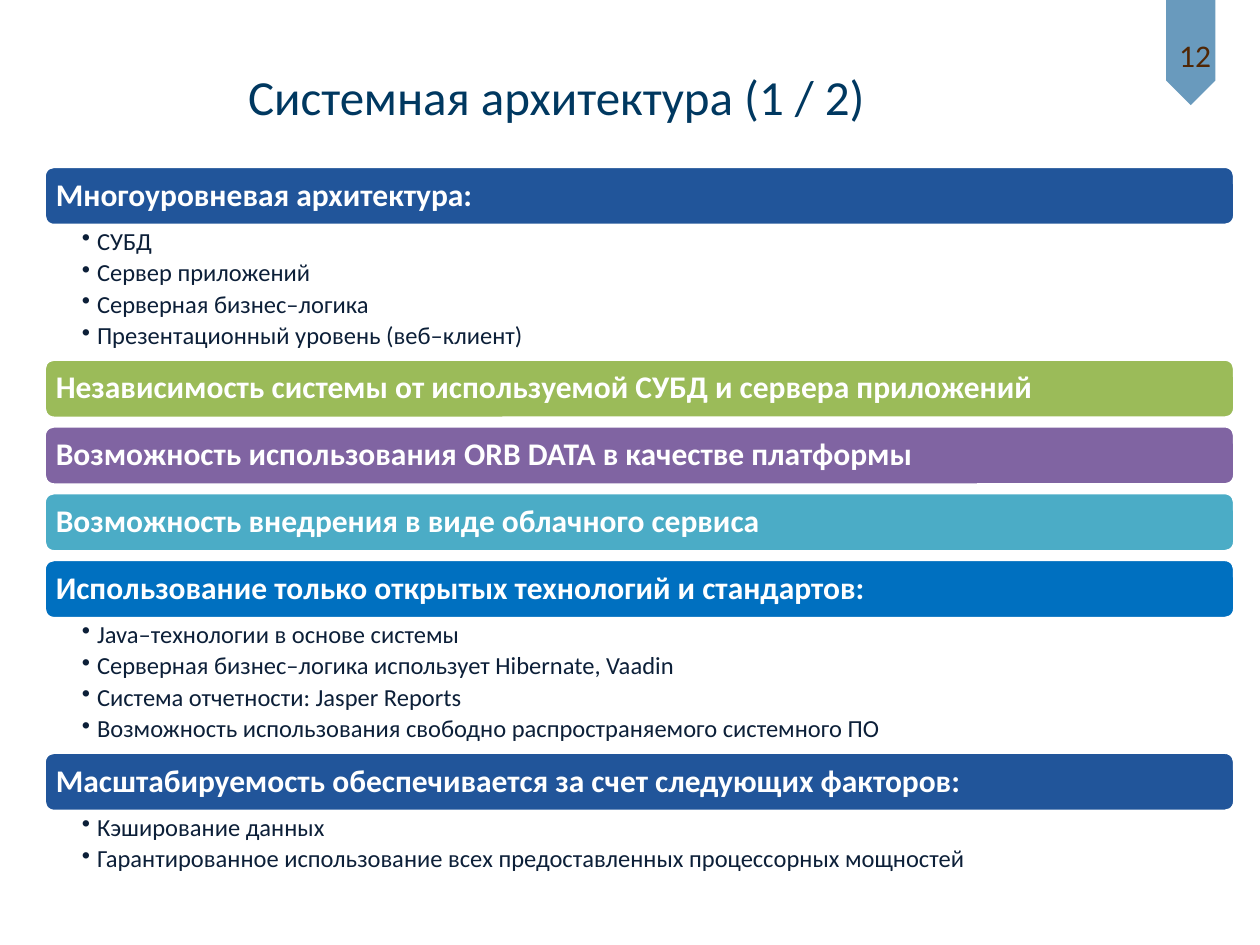
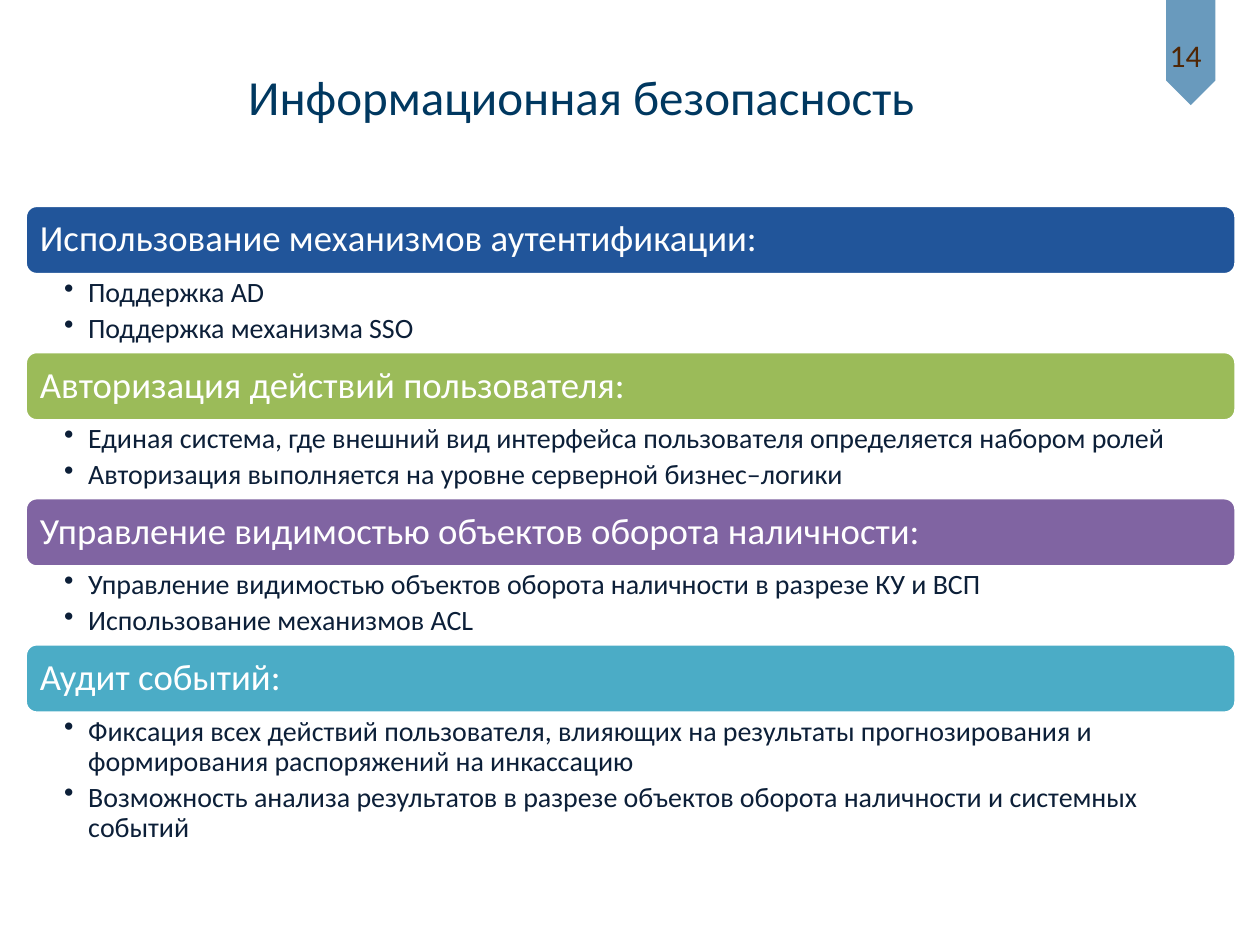
from lxml.etree import SubElement
from pptx import Presentation
from pptx.dml.color import RGBColor
from pptx.enum.shapes import MSO_SHAPE
from pptx.enum.text import MSO_ANCHOR, PP_ALIGN
from pptx.oxml.ns import qn
from pptx.util import Inches, Pt

FONT = "Calibri"
WHITE = RGBColor(0xFF, 0xFF, 0xFF)
STEEL = RGBColor(0x00, 0x54, 0x90)
TITLE_BLUE = RGBColor(0x00, 0x38, 0x60)
INK = RGBColor(0x0C, 0x1F, 0x38)
BROWN = RGBColor(0x50, 0x26, 0x04)
NAVY = RGBColor(0x21, 0x55, 0x9A)
GREEN = RGBColor(0x9B, 0xBB, 0x59)
PURPLE = RGBColor(0x80, 0x64, 0xA2)
TEAL = RGBColor(0x4B, 0xAC, 0xC6)
BLUE = RGBColor(0x00, 0x70, 0xC0)

ARCHITECTURE = {
    "left": 0.35, "top": 1.32, "width": 9.45, "bar": 0.47, "gap": 0.06,
    "bar_inset": 0.07, "bar_size": 18, "bold": True,
    "body_insets": (0.3, 0.03, 0.14, 0.03), "hang": 0.12, "body_size": 14,
}
SECURITY = {
    "left": 0.2, "top": 1.63, "width": 9.61, "bar": 0.55, "gap": 0.06,
    "bar_inset": 0.09, "bar_size": 21, "bold": False,
    "body_insets": (0.31, 0.03, 0.16, 0.03), "hang": 0.19, "body_size": 16,
}

ARCHITECTURE_SECTIONS = [
    (NAVY, "Многоуровневая архитектура:", 1.06, [
        "СУБД",
        "Сервер приложений",
        "Серверная бизнес–логика",
        "Презентационный уровень (веб–клиент)"]),
    (GREEN, "Независимость системы от используемой СУБД и сервера приложений", 0, []),
    (PURPLE, "Возможность использования ORB DATA в качестве платформы", 0, []),
    (TEAL, "Возможность внедрения в виде облачного сервиса", 0, []),
    (BLUE, "Использование только открытых технологий и стандартов:", 1.06, [
        "Java–технологии в основе системы",
        "Серверная бизнес–логика использует Hibernate, Vaadin",
        "Система отчетности: Jasper Reports",
        "Возможность использования свободно распространяемого системного ПО"]),
    (NAVY, "Масштабируемость обеспечивается за счет следующих факторов:", 0.53, [
        "Кэширование данных",
        "Гарантированное использование всех предоставленных процессорных мощностей"]),
]
SECURITY_SECTIONS = [
    (NAVY, "Использование механизмов аутентификации:", 0.61, [
        "Поддержка AD",
        "Поддержка механизма SSO"]),
    (GREEN, "Авторизация действий пользователя:", 0.61, [
        "Единая система, где внешний вид интерфейса пользователя определяется набором ролей",
        "Авторизация выполняется на уровне серверной бизнес–логики"]),
    (PURPLE, "Управление видимостью объектов оборота наличности:", 0.61, [
        "Управление видимостью объектов оборота наличности в разрезе КУ и ВСП",
        "Использование механизмов ACL"]),
    (TEAL, "Аудит событий:", 1.09, [
        "Фиксация всех действий пользователя, влияющих на результаты прогнозирования "
        "и формирования распоряжений на инкассацию",
        "Возможность анализа результатов в разрезе объектов оборота наличности "
        "и системных событий"]),
]


class Deck:
    """Holds the presentation style and the current slide."""

    def __init__(self):
        self.prs = Presentation()
        self.prs.slide_width, self.prs.slide_height = Inches(10), Inches(7.5)

    def slide(self, title, number, number_width):
        self.s = self.prs.slides.add_slide(self.prs.slide_layouts[6])
        self.flag()
        tf = self.textbox(0, 0.21, 10, 1.1, (1.97, 0.05, 0.39, 0.05), MSO_ANCHOR.MIDDLE)
        self.text(tf.paragraphs[0], title, {"size": Pt(28)}, TITLE_BLUE)
        tf = self.textbox(9.17, 0.24, number_width, 0.4, (0.1, 0.05, 0.1, 0.05))
        self.text(tf.paragraphs[0], number, {"size": Pt(18)}, BROWN,
                  alignment=PP_ALIGN.CENTER)

    def shape(self, kind, left, top, width, height, color):
        sp = self.s.shapes.add_shape(
            kind, Inches(left), Inches(top), Inches(width), Inches(height))
        sp.shadow.inherit = False
        sp.fill.solid()
        sp.fill.fore_color.rgb = color
        return sp

    def flag(self):
        sp = self.shape(MSO_SHAPE.PENTAGON, 9.03, 0.22, 0.84, 0.39, STEEL)
        sp.rotation = 90
        sp.line.fill.background()
        color = sp._element.spPr.find(qn("a:solidFill"))[0]
        SubElement(color, qn("a:alpha")).set("val", "59000")

    def frame(self, tf, insets, anchor):
        left, top, right, bottom = map(Inches, insets)
        values = {"word_wrap": True, "vertical_anchor": anchor, "margin_left": left,
                  "margin_top": top, "margin_right": right, "margin_bottom": bottom}
        for name, value in values.items():
            setattr(tf, name, value)
        return tf

    def textbox(self, left, top, width, height, insets, anchor=MSO_ANCHOR.TOP):
        sp = self.s.shapes.add_textbox(
            Inches(left), Inches(top), Inches(width), Inches(height))
        return self.frame(sp.text_frame, insets, anchor)

    def text(self, p, words, font, color, **layout):
        for name, value in layout.items():
            setattr(p, name, value)
        r = p.add_run()
        r.text = words
        for name, value in {"name": FONT, **font}.items():
            setattr(r.font, name, value)
        r.font.color.rgb = color

    def bar(self, heading, color, top, style):
        sp = self.shape(MSO_SHAPE.ROUNDED_RECTANGLE, style["left"], top,
                        style["width"], style["bar"], color)
        sp.line.color.rgb = WHITE
        sp.line.width = Pt(2)
        tf = self.frame(sp.text_frame, [style["bar_inset"]] * 4, MSO_ANCHOR.MIDDLE)
        self.text(tf.paragraphs[0], heading,
                  {"size": Pt(style["bar_size"]), "bold": style["bold"]}, WHITE,
                  alignment=PP_ALIGN.LEFT, line_spacing=0.9)

    def bullets(self, items, top, height, style):
        tf = self.textbox(style["left"], top, style["width"], height, style["body_insets"])
        size, hang = style["body_size"], Inches(style["hang"])
        for i, item in enumerate(items):
            p = tf.add_paragraph() if i else tf.paragraphs[0]
            self.text(p, item, {"size": Pt(size)}, INK,
                      level=1, line_spacing=0.9, space_after=Pt(size * 0.2))
            pPr = p._p.get_or_add_pPr()
            pPr.set("marL", str(hang))
            pPr.set("indent", str(-hang))
            SubElement(pPr, qn("a:buChar")).set("char", "•")

    def sections(self, sections, style):
        top = style["top"]
        for color, heading, height, items in sections:
            self.bar(heading, color, top, style)
            top += style["bar"]
            if items:
                self.bullets(items, top, height, style)
            top += height or style["gap"]


def main():
    deck = Deck()
    deck.slide("Системная архитектура (1 / 2)", "12", 0.63)
    deck.sections(ARCHITECTURE_SECTIONS, ARCHITECTURE)
    deck.slide("Информационная безопасность", "14", 0.48)
    deck.sections(SECURITY_SECTIONS, SECURITY)
    deck.prs.save("out.pptx")


if __name__ == "__main__":
    main()
